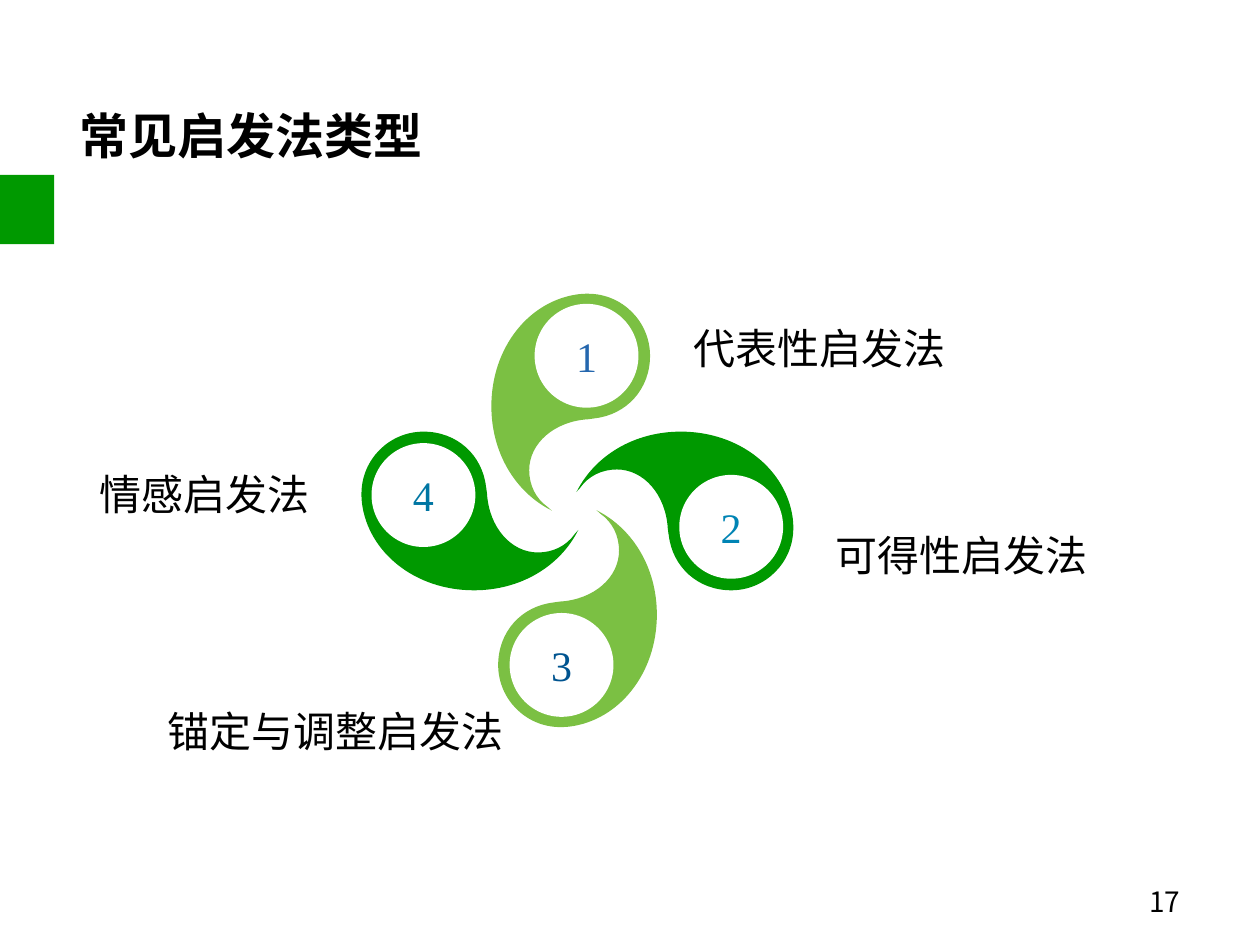
import math

from lxml import etree
from pptx import Presentation
from pptx.dml.color import RGBColor
from pptx.enum import shapes, text
from pptx.oxml import ns
from pptx.util import Pt

BLACK = RGBColor(0x00, 0x00, 0x00)
WHITE = RGBColor(0xFF, 0xFF, 0xFF)
GREEN = RGBColor(0x00, 0x99, 0x00)
LIME = RGBColor(0x7B, 0xC0, 0x43)
CJK, SERIF = "Noto Sans CJK SC", "Times New Roman"

TITLE = "常见启发法类型"
PAGE_NUMBER = "17"
# number, number colour, leaf colour, leaf centre, rotation, label, label box
HEURISTICS = [
    ("4", RGBColor(0x00, 0x76, 0xA3), GREEN, (201.4, 219), 0,
     "情感启发法", (35.6, 186.5, 105, 34.6)),
    ("1", RGBColor(0x25, 0x67, 0xAE), LIME, (244.6, 172.4), 90,
     "代表性启发法", (290, 124, 124, 34.6)),
    ("2", RGBColor(0x00, 0x84, 0xB4), GREEN, (293.5, 219), 180,
     "可得性启发法", (351, 212.6, 124, 34.6)),
    ("3", RGBColor(0x00, 0x54, 0x90), LIME, (247.5, 265.1), 270,
     "锚定与调整启发法", (64.8, 288, 160, 34.6)),
]

# Leaf outline around its own centre: each row is one Bezier curve
# (two controls and an end); a single point is a straight line.
LEAF_START = (-19.9, -34)
LEAF_CURVES = [
    [(-34.5, -34), (-46.5, -22.1), (-46.5, -7.4)],
    [(-46.5, -6.5), (-46.5, -5.6), (-46.4, -4.8)],
    [(-46.4, -4.7)],
    [(-46.3, -3.4)],
    [(-43.6, 17.8), (-23.5, 34), (1.7, 34)],
    [(21.9, 34), (38.5, 23.6), (46.2, 8.6)],
    [(46.5, 8.1)],
    [(44.9, 9.9)],
    [(41.3, 15), (35.6, 17.8), (29.1, 17.8)],
    [(17.6, 17.8), (8.2, 7), (7.3, -7.4)],
    [(7.3, -7.4), (7, -10), (6.9, -10.4)],
    [(5.3, -23.9), (-5.5, -34), (-19.9, -34)],
]
DISC_OFFSET = (-19.9, -6.8)
DISC_SIZE = 44.5


def rotate(point, degrees):
    (x, y), angle = point, math.radians(degrees)
    return (x * math.cos(angle) - y * math.sin(angle),
            x * math.sin(angle) + y * math.cos(angle))


def paint(shape, colour):
    shape.shadow.inherit = False
    shape.fill.solid()
    shape.fill.fore_color.rgb = colour
    shape.line.fill.background()


def add_leaf(centre, degrees, colour):
    """Lay the outline out as straight segments, then join triples into curves."""
    def on_slide(point):
        return Pt(centre[0] + point[0]), Pt(centre[1] + point[1])

    builder = parts.build_freeform(*on_slide(LEAF_START))
    builder.add_line_segments([on_slide(point) for curve in LEAF_CURVES
                               for point in curve], close=True)
    leaf = builder.convert_to_shape()
    segments = iter(list(leaf._element.iter(ns.qn("a:lnTo"))))
    for curve in LEAF_CURVES:
        lines = [next(segments) for _ in curve]
        if len(curve) == 3:
            lines[0].tag = ns.qn("a:cubicBezTo")
            for line in lines[1:]:
                lines[0].append(line[0])
                line.getparent().remove(line)
    leaf.rotation = degrees
    paint(leaf, colour)


def write(shape, words, size, colour=BLACK, face=CJK, frame=(), **paragraph_format):
    for name, value in dict(frame).items():
        setattr(shape.text_frame, name, value)
    paragraph = shape.text_frame.paragraphs[0]
    for name, value in paragraph_format.items():
        setattr(paragraph, name, value)
    run = paragraph.add_run()
    run.text = words
    for name, value in {"size": Pt(size), "name": face, "bold": words == TITLE}.items():
        setattr(run.font, name, value)
    run.font.color.rgb = colour
    east_asian = etree.SubElement(run.font._element, ns.qn("a:ea"))
    east_asian.set("typeface", face)


deck = Presentation()
deck.slide_width, deck.slide_height = Pt(540), Pt(405)
slide = deck.slides.add_slide(deck.slide_layouts[5])
parts = slide.shapes

title = parts.title
for side, length in {"left": 27, "top": 41.8, "width": 486, "height": 67.7}.items():
    setattr(title, side, Pt(length))
write(title, TITLE, 21, alignment=text.PP_ALIGN.LEFT,
      frame={"vertical_anchor": text.MSO_ANCHOR.TOP,
             "auto_size": text.MSO_AUTO_SIZE.NONE})

accent = parts.add_shape(shapes.MSO_SHAPE.RECTANGLE, *map(Pt, (0, 75, 23.3, 29.7)))
paint(accent, GREEN)

DISC_FRAME = {"vertical_anchor": text.MSO_ANCHOR.MIDDLE, "margin_left": 0,
              "margin_right": 0, "margin_top": 0, "margin_bottom": 0}
LABEL_FRAME = {"word_wrap": False, "auto_size": text.MSO_AUTO_SIZE.SHAPE_TO_FIT_TEXT}
for number, number_colour, leaf_colour, centre, degrees, label, box in HEURISTICS:
    add_leaf(centre, degrees, leaf_colour)

    corner = [middle + offset - DISC_SIZE / 2
              for middle, offset in zip(centre, rotate(DISC_OFFSET, degrees))]
    disc = parts.add_shape(shapes.MSO_SHAPE.OVAL,
                           *map(Pt, (*corner, DISC_SIZE, DISC_SIZE)))
    paint(disc, WHITE)
    write(disc, number, 18, number_colour, SERIF, DISC_FRAME,
          alignment=text.PP_ALIGN.CENTER)

    write(parts.add_textbox(*map(Pt, box)), label, 18, frame=LABEL_FRAME,
          line_spacing=1.5)

page = parts.add_textbox(*map(Pt, (387, 375.4, 126, 21.6)))
write(page, PAGE_NUMBER, 12, frame={"word_wrap": True}, alignment=text.PP_ALIGN.RIGHT)

deck.save("out.pptx")
